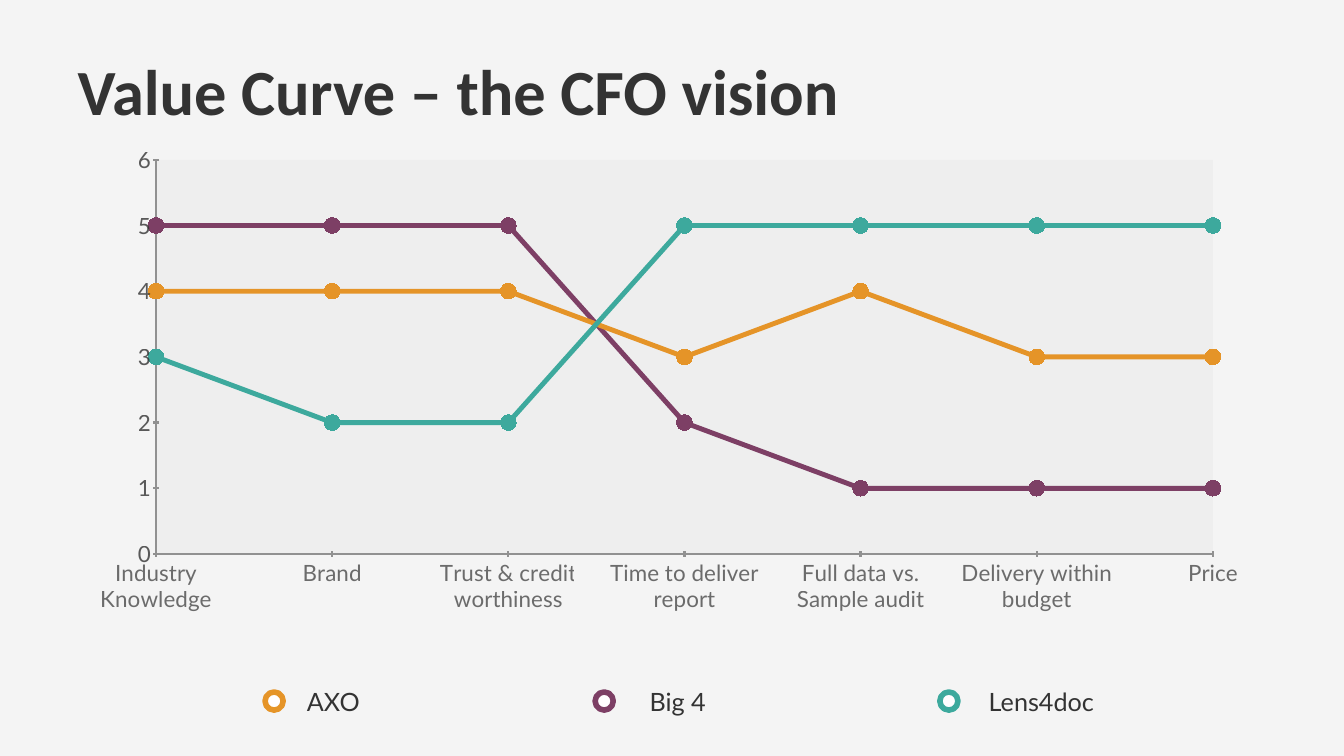
from dataclasses import dataclass

from lxml.etree import SubElement
from pptx import Presentation
from pptx.chart.data import CategoryChartData
from pptx.dml.color import RGBColor
from pptx.enum.chart import XL_CHART_TYPE, XL_MARKER_STYLE, XL_TICK_MARK
from pptx.enum.shapes import MSO_SHAPE
from pptx.enum.text import MSO_ANCHOR, MSO_AUTO_SIZE, PP_ALIGN
from pptx.oxml import parse_xml
from pptx.oxml.ns import nsdecls, qn
from pptx.util import Inches, Pt


@dataclass(frozen=True)
class Theme:
    background: str = "F4F4F4"
    ink: str = "333333"
    axis: str = "919191"
    plot: str = "858585"
    marker: str = "FFFFFF"
    dot: str = "FFFDFF"
    purple: str = "7D3F65"
    orange: str = "E59428"
    teal: str = "3DA99D"
    title_font: str = "Calibri"
    body_font: str = "Lato"
    chart_font: str = "Cabin"
    title_size: int = 92
    legend_size: int = 36
    axis_size: int = 32


THEME = Theme()
FACTORS = ["Industry Knowledge", "Brand", "Trust & credit worthiness",
           "Time to deliver report", "Full data vs. Sample audit",
           "Delivery within budget", "Price"]
CURVES = [
    ("Series 1", THEME.purple, (5, 5, 5, 2, 1, 1, 1)),
    ("Series 2", THEME.orange, (4, 4, 4, 3, 4, 3, 3)),
    ("Series 3", THEME.teal, (3, 2, 2, 5, 5, 5, 5)),
]
# name, colour, dot left, label left, label width
LEGEND = [
    ("AXO", THEME.orange, 5.26, 6.03, 1.97),
    ("Big 4", THEME.purple, 11.81, 12.83, 1.86),
    ("Lens4doc", THEME.teal, 18.65, 19.56, 2.58),
]
LEGEND_MIDDLE = 13.91
LABEL_HEIGHT = 0.72
DOT_SIZE = 0.36


def box(left, top, width, height):
    return [Inches(length) for length in (left, top, width, height)]


def style_font(font, name, size, colour=THEME.ink, bold=False):
    font.name, font.size, font.bold = name, Pt(size), bold
    font.color.rgb = RGBColor.from_string(colour)


def style_line(line, colour, width):
    line.color.rgb = RGBColor.from_string(colour)
    line.width = Pt(width)


def style_fill(fill, colour):
    fill.solid()
    fill.fore_color.rgb = RGBColor.from_string(colour)


def set_title(slide, text):
    title = slide.shapes.title
    title.left, title.top, title.width, title.height = box(1.44, 0.96, 15.46, 1.65)
    frame = title.text_frame
    frame.text = text
    frame.word_wrap = False
    frame.auto_size = MSO_AUTO_SIZE.SHAPE_TO_FIT_TEXT
    heading = frame.paragraphs[0]
    heading.alignment = PP_ALIGN.LEFT
    style_font(heading.runs[0].font, THEME.title_font, THEME.title_size, bold=True)


def style_axis(axis, label_opacity):
    axis.has_major_gridlines = False
    axis.major_tick_mark = XL_TICK_MARK.CROSS
    axis.minor_tick_mark = XL_TICK_MARK.NONE
    style_line(axis.format.line, THEME.axis, 3.25)
    font = axis.tick_labels.font
    style_font(font, THEME.body_font, THEME.axis_size)
    label_colour = axis._element.find(f"{qn('c:txPr')}//{qn('a:srgbClr')}")
    SubElement(label_colour, qn("a:alpha"), val=str(label_opacity * 1000))


def start_curves_on_axis(axis):
    """Put the first category on the value axis instead of half a step in."""
    for setting in axis._element.findall(qn("c:crossBetween")):
        axis._element.remove(setting)
    axis._element.find(qn("c:crosses")).addnext(
        parse_xml(f'<c:crossBetween {nsdecls("c")} val="midCat"/>'))


def place_plot(chart, x, y, width, height):
    """Fix the inner plot area by shares of the chart and tint it."""
    plot_area = chart._chartSpace.chart.plotArea
    for layout in plot_area.findall(qn("c:layout")):
        plot_area.remove(layout)
    shares = "".join(f'<c:{tag} val="{share}"/>' for tag, share in
                     (("x", x), ("y", y), ("w", width), ("h", height)))
    plot_area.insert(0, parse_xml(
        f'<c:layout {nsdecls("c")}><c:manualLayout><c:layoutTarget val="inner"/>'
        f'<c:xMode val="edge"/><c:yMode val="edge"/>{shares}'
        '</c:manualLayout></c:layout>'))
    plot_area.append(parse_xml(
        f'<c:spPr {nsdecls("c", "a")}><a:solidFill><a:srgbClr val="{THEME.plot}">'
        '<a:alpha val="5000"/></a:srgbClr></a:solidFill></c:spPr>'))


def add_value_curve(slide):
    curve_data = CategoryChartData()
    curve_data.categories = FACTORS
    for name, _, scores in CURVES:
        curve_data.add_series(name, scores)
    chart = slide.shapes.add_chart(XL_CHART_TYPE.LINE_MARKERS,
                                   *box(1.44, 2.84, 23.33, 10.36), curve_data).chart
    chart.has_legend = False
    chart.has_title = False
    style_font(chart.font, THEME.chart_font, THEME.axis_size, "000000")
    chart.plots[0].vary_by_categories = False

    scores_axis = chart.value_axis
    scores_axis.minimum_scale, scores_axis.maximum_scale = 0, 6
    scores_axis.major_unit = 1
    style_axis(scores_axis, 80)
    style_axis(chart.category_axis, 70)
    start_curves_on_axis(scores_axis)

    for curve, (_, colour, _) in zip(chart.plots[0].series, CURVES):
        curve.smooth = False
        style_line(curve.format.line, colour, 7)
        curve.marker.style = XL_MARKER_STYLE.CIRCLE
        curve.marker.size = 22
        style_fill(curve.marker.format.fill, THEME.marker)
        style_line(curve.marker.format.line, colour, 7)
    place_plot(chart, 0.071, 0.032, 0.899, 0.755)


def add_legend_entry(slide, name, colour, dot_left, label_left, label_width):
    entry = slide.shapes.add_group_shape().shapes
    label = entry.add_textbox(*box(label_left, LEGEND_MIDDLE - LABEL_HEIGHT / 2,
                                   label_width, LABEL_HEIGHT))
    frame = label.text_frame
    frame.text = name
    frame.word_wrap = True
    frame.vertical_anchor = MSO_ANCHOR.MIDDLE
    frame.margin_left = frame.margin_right = Inches(0.06)
    frame.margin_top = frame.margin_bottom = Inches(0.06)
    style_font(frame.paragraphs[0].runs[0].font, THEME.body_font, THEME.legend_size)

    dot = entry.add_shape(MSO_SHAPE.OVAL, *box(
        dot_left, LEGEND_MIDDLE - DOT_SIZE / 2, DOT_SIZE, DOT_SIZE))
    dot.shadow.inherit = False
    style_fill(dot.fill, THEME.dot)
    style_line(dot.line, colour, 8)


def main():
    deck = Presentation()
    deck.slide_width, deck.slide_height = Inches(26.67), Inches(15)
    slide = deck.slides.add_slide(deck.slide_layouts.get_by_name("Title Only"))
    style_fill(slide.background.fill, THEME.background)
    set_title(slide, "Value Curve – the CFO vision")
    add_value_curve(slide)
    for entry in LEGEND:
        add_legend_entry(slide, *entry)
    deck.save("out.pptx")


if __name__ == "__main__":
    main()
